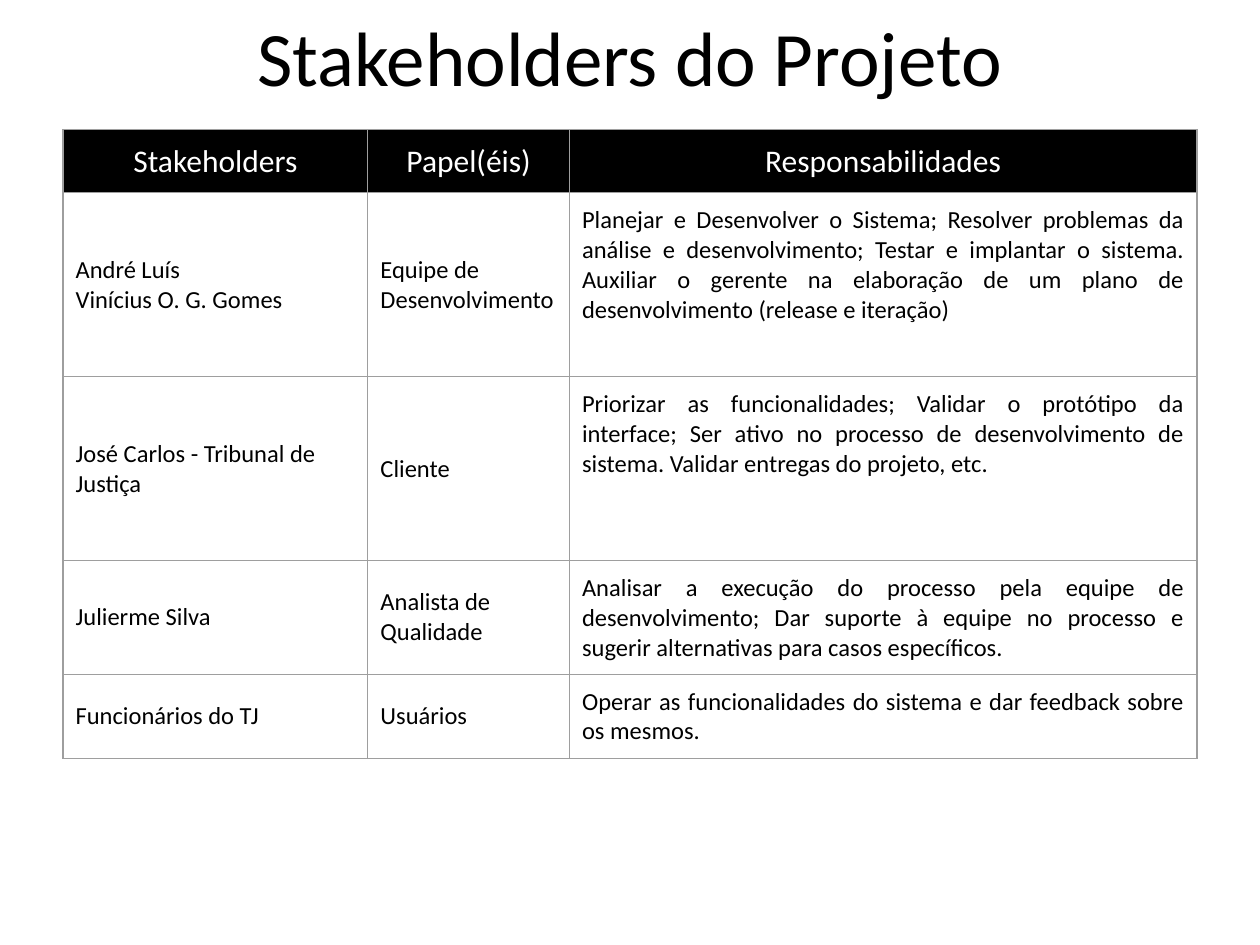
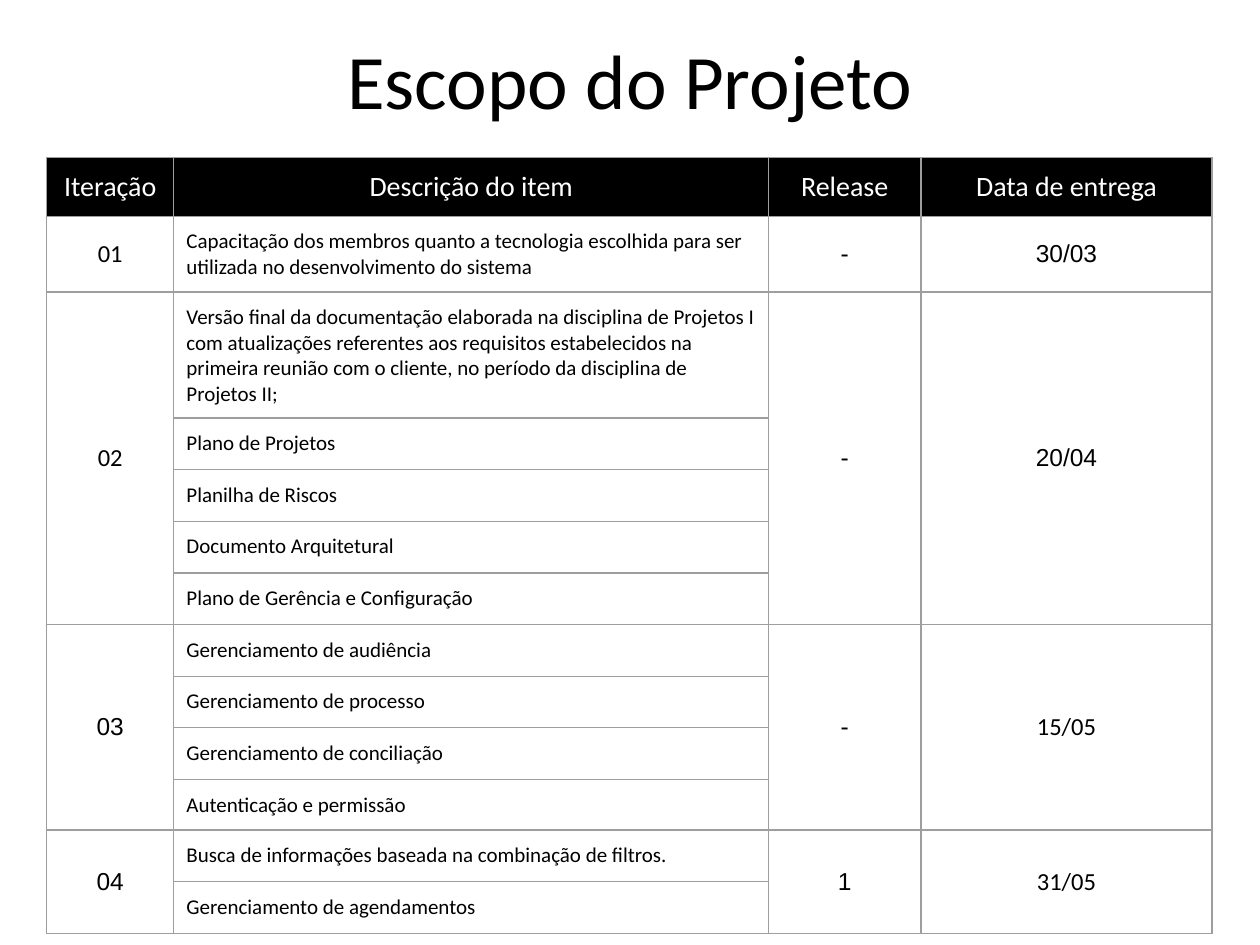
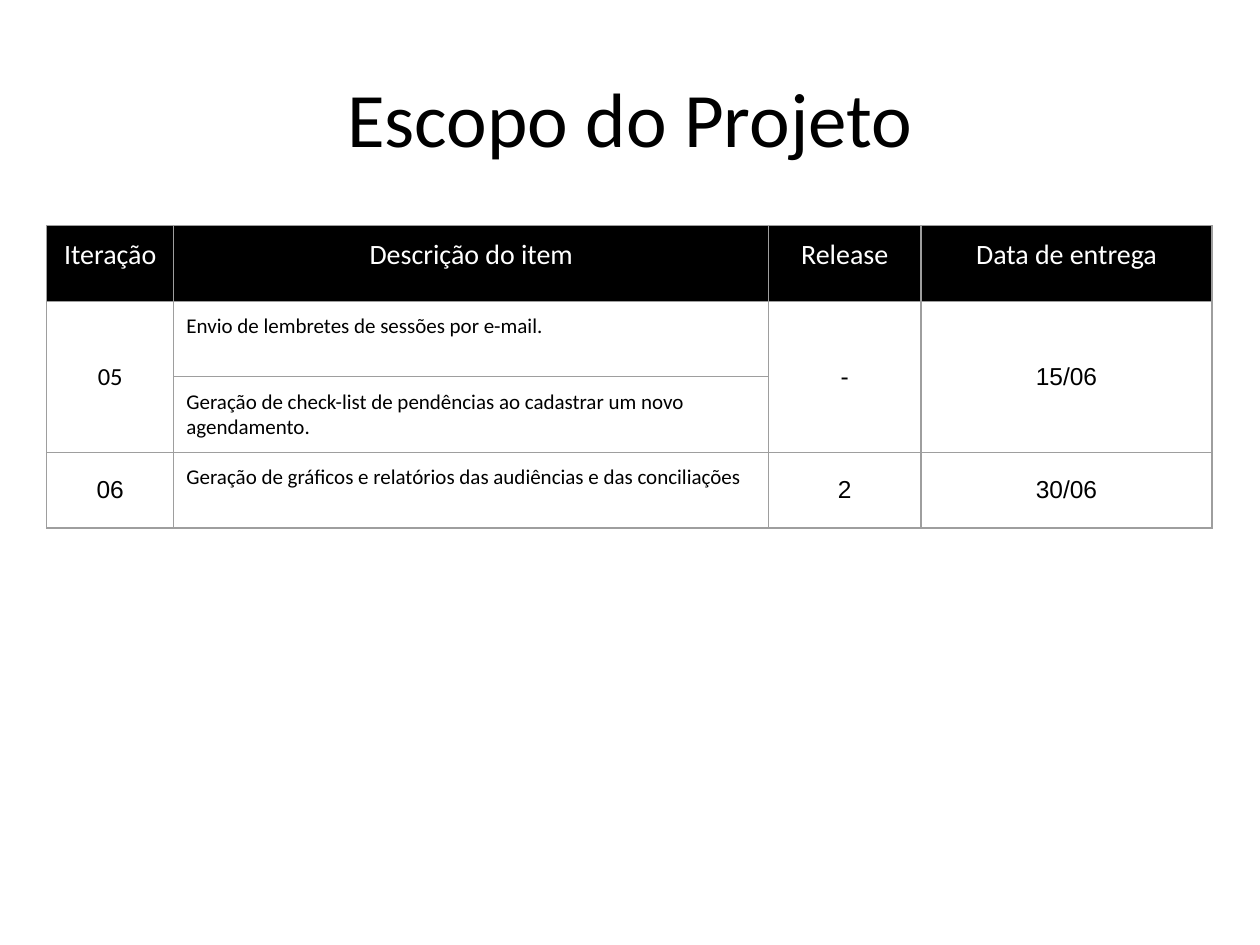
from typing import Any, NamedTuple

from lxml import etree
from pptx import Presentation
from pptx import util as u
from pptx.dml.color import RGBColor
from pptx.enum import text
from pptx.oxml import ns

PX = 9144
BLANK = 6
BLACK = RGBColor(0x00, 0x00, 0x00)
WHITE = RGBColor(0xFF, 0xFF, 0xFF)
GRID = RGBColor(0x9E, 0x9E, 0x9E)
GRID_WIDTH = u.Pt(0.75)
CELL_INSET = 10
LEFT, CENTER, JUSTIFY = text.PP_ALIGN.LEFT, text.PP_ALIGN.CENTER, text.PP_ALIGN.JUSTIFY
TOP, MIDDLE = text.MSO_ANCHOR.TOP, text.MSO_ANCHOR.MIDDLE


class Style(NamedTuple):
    size: int
    align: Any = LEFT
    anchor: Any = TOP
    font: str = "Calibri"
    color: RGBColor = BLACK


class Entry(NamedTuple):
    wording: str
    style: Style
    span: int = 1


class Stakeholder(NamedTuple):
    name: str
    role: str
    duties: str
    duties_anchor: Any = MIDDLE


class Iteration(NamedTuple):
    number: str
    items: list[str]
    release: str
    due: str
    number_font: str = "Calibri"
    due_font: str = "Arial"


class Page(NamedTuple):
    title: str
    title_top: int
    title_height: int
    left: int
    top: int
    columns: list[int]
    heights: list[int]
    rows: list[list[Entry | None]]


TITLE = Style(44, CENTER, MIDDLE)
ITEM = Style(12)
PERSON = Style(14, LEFT, MIDDLE)

SCOPE_LABELS = ["Iteração", "Descrição do item", "Release", "Data de entrega"]
SCOPE_COLUMNS = [101, 472, 121, 231]

STAKEHOLDERS = [
    Stakeholder(
        "André Luís\nVinícius O. G. Gomes",
        "Equipe de Desenvolvimento",
        "Planejar e Desenvolver o Sistema; Resolver problemas da análise e "
        "desenvolvimento; Testar e implantar o sistema. Auxiliar o gerente na "
        "elaboração de um plano de desenvolvimento (release e iteração)",
        TOP,
    ),
    Stakeholder(
        "José Carlos - Tribunal de Justiça",
        "Cliente",
        "Priorizar as funcionalidades; Validar o protótipo da interface; Ser ativo no "
        "processo de desenvolvimento de sistema. Validar entregas do projeto, etc.",
        TOP,
    ),
    Stakeholder(
        "Julierme Silva",
        "Analista de Qualidade",
        "Analisar a execução do processo pela equipe de desenvolvimento; Dar suporte à "
        "equipe no processo e sugerir alternativas para casos específicos.",
    ),
    Stakeholder(
        "Funcionários do TJ",
        "Usuários",
        "Operar as funcionalidades do sistema e dar feedback sobre os mesmos.",
    ),
]

FIRST_ITERATIONS = [
    Iteration(
        "01",
        ["Capacitação dos membros quanto a tecnologia escolhida para ser utilizada no "
         "desenvolvimento do sistema"],
        "-", "30/03",
    ),
    Iteration(
        "02",
        ["Versão final da documentação elaborada na disciplina de Projetos I com "
         "atualizações referentes aos requisitos estabelecidos na primeira reunião com "
         "o cliente, no período da disciplina de Projetos II;",
         "Plano de Projetos",
         "Planilha de Riscos",
         "Documento Arquitetural",
         "Plano de Gerência e Configuração"],
        "-", "20/04",
    ),
    Iteration(
        "03",
        ["Gerenciamento de audiência",
         "Gerenciamento de processo",
         "Gerenciamento de conciliação",
         "Autenticação e permissão"],
        "-", "15/05", "Arial", "Calibri",
    ),
    Iteration(
        "04",
        ["Busca de informações baseada na combinação de filtros.",
         "Gerenciamento de agendamentos"],
        "1", "31/05", "Arial", "Calibri",
    ),
]

LAST_ITERATIONS = [
    Iteration(
        "05",
        ["Envio de lembretes de sessões por e-mail.",
         "Geração de check-list de pendências ao cadastrar um novo agendamento."],
        "-", "15/06",
    ),
    Iteration(
        "06",
        ["Geração de gráficos e relatórios das audiências e das conciliações"],
        "2", "30/06", "Arial",
    ),
]


def header_row(labels: list[str], size: int) -> list[Entry | None]:
    return [Entry(label, Style(size, CENTER, color=WHITE)) for label in labels]


def stakeholder_rows(people: list[Stakeholder]) -> list[list[Entry | None]]:
    return [
        [Entry(p.name, PERSON), Entry(p.role, PERSON),
         Entry(p.duties, Style(14, JUSTIFY, p.duties_anchor))]
        for p in people
    ]


def iteration_rows(iterations: list[Iteration]) -> list[list[Entry | None]]:
    rows: list[list[Entry | None]] = []
    for iteration in iterations:
        span = len(iteration.items)
        number, release, due = (
            Entry(wording, Style(14, CENTER, MIDDLE, font), span)
            for wording, font in (
                (iteration.number, iteration.number_font),
                (iteration.release, "Arial"),
                (iteration.due, iteration.due_font),
            )
        )
        first, *others = [Entry(item, ITEM) for item in iteration.items]
        rows.append([number, first, release, due])
        rows.extend([None, item, None, None] for item in others)
    return rows


def apply(target: Any, values: dict[str, Any]) -> None:
    for name, value in values.items():
        setattr(target, name, value)


def write(frame: Any, wording: str, style: Style) -> None:
    frame.text = wording
    for paragraph in frame.paragraphs:
        paragraph.alignment = style.align
        for run in paragraph.runs:
            apply(run.font, {"size": u.Pt(style.size), "name": style.font, "bold": False})
            run.font.color.rgb = style.color


def add_grid_lines(cell: Any) -> None:
    properties = cell._tc.get_or_add_tcPr()
    for side in ("lnL", "lnR", "lnT", "lnB"):
        line = etree.SubElement(properties, ns.qn(f"a:{side}"), w=str(GRID_WIDTH))
        fill = etree.SubElement(line, ns.qn("a:solidFill"))
        etree.SubElement(fill, ns.qn("a:srgbClr"), val=str(GRID))


def add_title(slide: Any, page: Page) -> None:
    title = slide.shapes.add_textbox(
        50 * PX, page.title_top * PX, 900 * PX, page.title_height * PX
    )
    apply(title.text_frame, {"word_wrap": True, "vertical_anchor": TITLE.anchor})
    write(title.text_frame, page.title, TITLE)


def add_grid(slide: Any, page: Page) -> None:
    grid = slide.shapes.add_table(
        len(page.rows), len(page.columns), page.left * PX, page.top * PX,
        sum(page.columns) * PX, sum(page.heights) * PX,
    ).table
    apply(grid, {"first_row": False, "horz_banding": False})
    for column, width in zip(grid.columns, page.columns):
        column.width = width * PX
    for row, height in zip(grid.rows, page.heights):
        row.height = height * PX
    for r, entries in enumerate(page.rows):
        for c, entry in enumerate(entries):
            cell = grid.cell(r, c)
            add_grid_lines(cell)
            if r == 0:
                cell.fill.solid()
                cell.fill.fore_color.rgb = BLACK
            else:
                cell.fill.background()
            if entry is None:
                continue
            apply(cell, {f"margin_{side}": CELL_INSET * PX
                         for side in ("left", "right", "top", "bottom")})
            cell.vertical_anchor = entry.style.anchor
            write(cell.text_frame, entry.wording, entry.style)
            if entry.span > 1:
                cell.merge(grid.cell(r + entry.span - 1, c))


PAGES = [
    Page(
        "Stakeholders do Projeto", 0, 89, 50, 103,
        [242, 160, 498], [40, 146, 146, 82, 61],
        [header_row(["Stakeholders", "Papel(éis)", "Responsabilidades"], 18),
         *stakeholder_rows(STAKEHOLDERS)],
    ),
    Page(
        "Escopo do Projeto", 0, 125, 37, 125,
        SCOPE_COLUMNS, [31] + [41] * 9 + [18] + [41] * 2,
        [header_row(SCOPE_LABELS, 16), *iteration_rows(FIRST_ITERATIONS)],
    ),
    Page(
        "Escopo do Projeto", 30, 125, 37, 179,
        SCOPE_COLUMNS, [60] * 4,
        [header_row(SCOPE_LABELS, 16), *iteration_rows(LAST_ITERATIONS)],
    ),
]


def main() -> None:
    deck = Presentation()
    apply(deck, {"slide_width": 1000 * PX, "slide_height": 750 * PX})
    for page in PAGES:
        slide = deck.slides.add_slide(deck.slide_layouts[BLANK])
        add_title(slide, page)
        add_grid(slide, page)
    deck.save("out.pptx")


if __name__ == "__main__":
    main()
